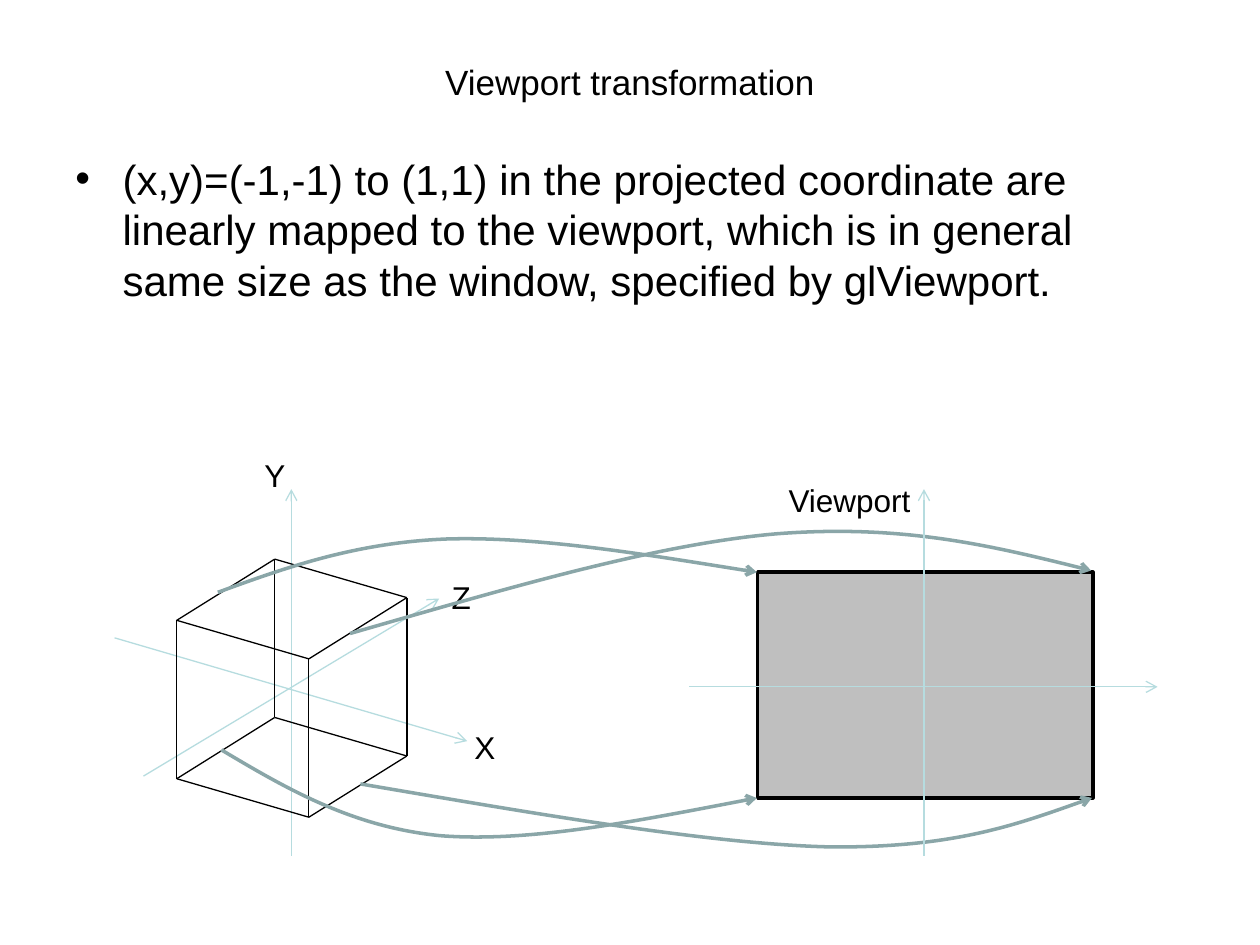
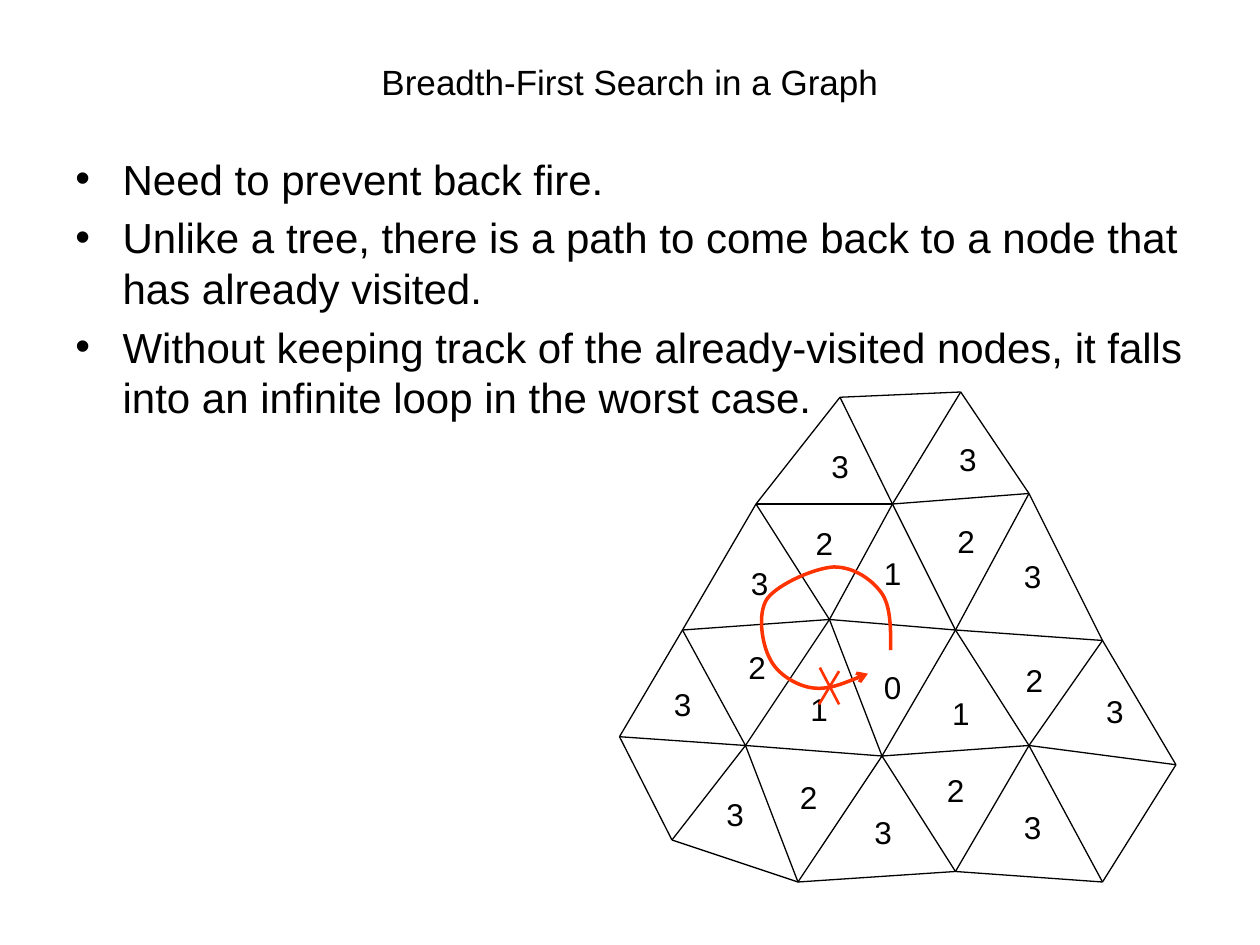
from dataclasses import dataclass
from itertools import combinations, product

from lxml import etree
from pptx import Presentation
from pptx.dml.color import RGBColor
from pptx.enum.shapes import MSO_CONNECTOR, MSO_SHAPE
from pptx.enum.text import MSO_ANCHOR, MSO_AUTO_SIZE, PP_ALIGN
from pptx.oxml.ns import qn
from pptx.util import Pt

STRAIGHT = MSO_CONNECTOR.STRAIGHT
RECT = MSO_SHAPE.RECTANGLE
MIDDLE, TOP = MSO_ANCHOR.MIDDLE, MSO_ANCHOR.TOP
CENTER, LEFT = PP_ALIGN.CENTER, PP_ALIGN.LEFT
FIXED, GROW = MSO_AUTO_SIZE.NONE, MSO_AUTO_SIZE.SHAPE_TO_FIT_TEXT
Point = tuple[float, float]


@dataclass(frozen=True)
class Theme:
    font: str = "Arial"
    ink: str = "000000"
    axis: str = "B6DCDF"
    curve: str = "8AA6A8"
    panel: str = "BFBFBF"
    alert: str = "FF3300"
    title: float = 20
    body: float = 24
    label: float = 18
    thin: float = 0.75
    cross: float = 1.5
    thick: float = 2


@dataclass(frozen=True)
class Label:
    text: str
    left: float
    top: float
    width: float = 48
    wrap: bool = True


@dataclass(frozen=True)
class Line:
    start: Point
    end: Point
    color: str
    width: float
    arrow: bool = False


@dataclass(frozen=True)
class Curve:
    points: tuple[Point, ...]
    color: str
    width: float


THEME = Theme()


def add_run(para, text: str, size: float) -> None:
    run = para.add_run()
    run.text = text
    run.font.name = THEME.font
    run.font.size = Pt(size)
    run.font.bold = False
    run.font.color.rgb = RGBColor.from_string(THEME.ink)


def style_line(line, color: str, width: float) -> None:
    line.color.rgb = RGBColor.from_string(color)
    line.width = Pt(width)


def add_arrow(shape) -> None:
    line = shape.element.spPr.find(qn("a:ln"))
    etree.SubElement(line, qn("a:tailEnd"), type="arrow")


def add_title(slide, text: str) -> None:
    title = slide.shapes.title
    title.left, title.top, title.width, title.height = map(Pt, (36, 21.6, 648, 50.4))
    frame = title.text_frame
    frame.auto_size = FIXED
    frame.vertical_anchor = MIDDLE
    para = frame.paragraphs[0]
    para.alignment = CENTER
    add_run(para, text, THEME.title)


def add_body(slide, points: list[str]) -> None:
    box = slide.shapes.add_textbox(Pt(36), Pt(84), Pt(648), Pt(398))
    frame = box.text_frame
    frame.word_wrap = True
    frame.vertical_anchor = TOP
    for spot, text in enumerate(points):
        para = frame.add_paragraph() if spot else frame.paragraphs[0]
        para.alignment = LEFT
        para.space_before = Pt(THEME.body * 0.2)
        props = para._p.get_or_add_pPr()
        props.set("marL", str(Pt(27)))
        props.set("indent", str(Pt(-27)))
        etree.SubElement(props, qn("a:buFont"), typeface=THEME.font)
        etree.SubElement(props, qn("a:buChar"), char="•")
        add_run(para, text, THEME.body)


def add_label(slide, label: Label) -> None:
    box = slide.shapes.add_textbox(
        Pt(label.left), Pt(label.top), Pt(label.width), Pt(29))
    frame = box.text_frame
    frame.word_wrap = label.wrap
    frame.auto_size = GROW
    add_run(frame.paragraphs[0], label.text, THEME.label)


def add_line(slide, line: Line) -> None:
    ends = map(Pt, (*line.start, *line.end))
    shape = slide.shapes.add_connector(STRAIGHT, *ends)
    style_line(shape.line, line.color, line.width)
    if line.arrow:
        add_arrow(shape)
    etree.SubElement(shape.element.spPr, qn("a:effectLst"))


def add_curve(slide, curve: Curve) -> None:
    points = [(Pt(x), Pt(y)) for x, y in curve.points]
    build = slide.shapes.build_freeform(*points[0])
    build.add_line_segments(points[3::3], close=False)
    shape = build.convert_to_shape()
    for spot, step in enumerate(list(shape.element.iter(qn("a:lnTo")))):
        bend = etree.Element(qn("a:cubicBezTo"))
        for x, y in points[3 * spot + 1:3 * spot + 4]:
            etree.SubElement(bend, qn("a:pt"),
                             x=str(x - shape.left), y=str(y - shape.top))
        step.getparent().replace(step, bend)
    shape.shadow.inherit = False
    shape.fill.background()
    style_line(shape.line, curve.color, curve.width)
    add_arrow(shape)


def add_panel(slide) -> None:
    panel = slide.shapes.add_shape(RECT, Pt(433), Pt(327), Pt(191.5), Pt(129))
    panel.shadow.inherit = False
    panel.fill.solid()
    panel.fill.fore_color.rgb = RGBColor.from_string(THEME.panel)
    style_line(panel.line, THEME.ink, THEME.thick)


def add_axes(slide, axes: list[tuple[Point, Point]]) -> None:
    for start, end in axes:
        add_line(slide, Line(start, end, THEME.axis, THEME.thin, True))


def add_cube(slide) -> None:
    def place(corner: tuple[int, ...]) -> Point:
        right, down, back = corner
        return (101 + 75.5 * right + 56 * back,
                354.5 + 22 * right + 90.5 * down - 35 * back)

    for one, two in combinations(product((0, 1), repeat=3), 2):
        if sum(a != b for a, b in zip(one, two)) == 1:
            add_line(slide, Line(place(one), place(two), THEME.ink, THEME.thin))


SPACE_AXES = [((82, 443.5), (251, 342)), ((166.5, 489), (166.5, 279.5)),
              ((65.5, 364.5), (267, 423.5))]
VIEW_AXES = [((394, 392.5), (661.5, 392.5)), ((528, 489), (528, 279.5))]
VIEW_LABELS = [Label("Z", 251, 327, 26, False), Label("X", 264, 412.5, 26.5, False),
               Label("Y", 144, 257, 26.5, False), Label("Viewport", 443.5, 271.5, 176)]
MAP_CURVES = [
    ((200, 362), (287, 337), (374, 311), (444, 305),
     (515, 299.5), (569.5, 312.5), (623.5, 326)),
    ((124.5, 338.5), (164, 324), (204, 310), (255.5, 308),
     (307, 306.5), (369.5, 317), (432.5, 327)),
    ((206, 448), (306, 465), (406, 482.5), (475, 484),
     (545, 484.5), (584.5, 470), (624, 456)),
    ((126.5, 428.5), (163.5, 450.5), (201, 472.5), (251.5, 477.5),
     (302.5, 481.5), (367, 468.5), (432.5, 456)),
]

NODES = {
    "a": (480, 227), "b": (549, 224),
    "c": (432, 288), "d": (510, 288), "e": (588, 282),
    "f": (390, 360), "g": (474, 354), "h": (546, 360), "i": (630, 366),
    "j": (354, 421), "k": (426, 426), "l": (504, 432), "m": (588, 426),
    "n": (672, 437),
    "o": (384, 480), "p": (456, 504), "q": (546, 498), "r": (630, 504),
}
EDGES = ("ab ac ad bd be cd de cf cg dg dh eh ei fg gh hi fj fk gk gl hl hm im in "
         "jk kl lm mn jo ko kp lp lq mq mr nr op pq qr").split()
DEPTHS = {
    "0": [(498, 378)],
    "1": [(498, 313), (456, 391), (537, 393)],
    "2": [(459, 296), (420.5, 367), (540, 295), (579, 374), (534, 437), (450, 441)],
    "3": [(468, 252), (541, 248), (422, 319), (578, 315), (378, 388),
          (408, 451), (492.5, 461), (578, 458), (625, 392)],
}
LOOP = ((509, 371.5), (509, 358.5), (509, 346), (503.5, 338.5),
        (497.5, 330.5), (487.5, 324), (476.5, 324),
        (466, 324.5), (445, 333.5), (438.5, 342),
        (432.5, 350.5), (435.5, 368.5), (440, 376.5),
        (444, 385), (454.5, 391.5), (463.5, 393),
        (473, 394.5), (484.5, 389.5), (496, 385))
CROSS = [((468.5, 381.5), (479.5, 402.5)), ((479.5, 383.5), (468, 402.5))]


def start_slide(deck, title: str, points: list[str]):
    slide = deck.slides.add_slide(deck.slide_layouts.get_by_name("Title Only"))
    add_title(slide, title)
    add_body(slide, points)
    return slide


def draw_view(deck) -> None:
    slide = start_slide(deck, "Viewport transformation", [
        "(x,y)=(-1,-1) to (1,1) in the projected coordinate are linearly mapped "
        "to the viewport, which is in general same size as the window, "
        "specified by glViewport."])
    add_axes(slide, SPACE_AXES)
    add_cube(slide)
    add_panel(slide)
    for label in VIEW_LABELS:
        add_label(slide, label)
    for points in MAP_CURVES:
        add_curve(slide, Curve(points, THEME.curve, THEME.thick))
    add_axes(slide, VIEW_AXES)


def draw_graph(deck) -> None:
    slide = start_slide(deck, "Breadth-First Search in a Graph", [
        "Need to prevent back fire.",
        "Unlike a tree, there is a path to come back to a node that has "
        "already visited.",
        "Without keeping track of the already-visited nodes, it falls into an "
        "infinite loop in the worst case."])
    for one, two in EDGES:
        add_line(slide, Line(NODES[one], NODES[two], THEME.ink, THEME.thin))
    for depth, spots in DEPTHS.items():
        for left, top in spots:
            add_label(slide, Label(depth, left, top))
    add_curve(slide, Curve(LOOP, THEME.alert, THEME.thick))
    for start, end in CROSS:
        add_line(slide, Line(start, end, THEME.alert, THEME.cross))


def main() -> None:
    deck = Presentation()
    deck.slide_width, deck.slide_height = Pt(720), Pt(540)
    draw_view(deck)
    draw_graph(deck)
    deck.save("out.pptx")


main()
